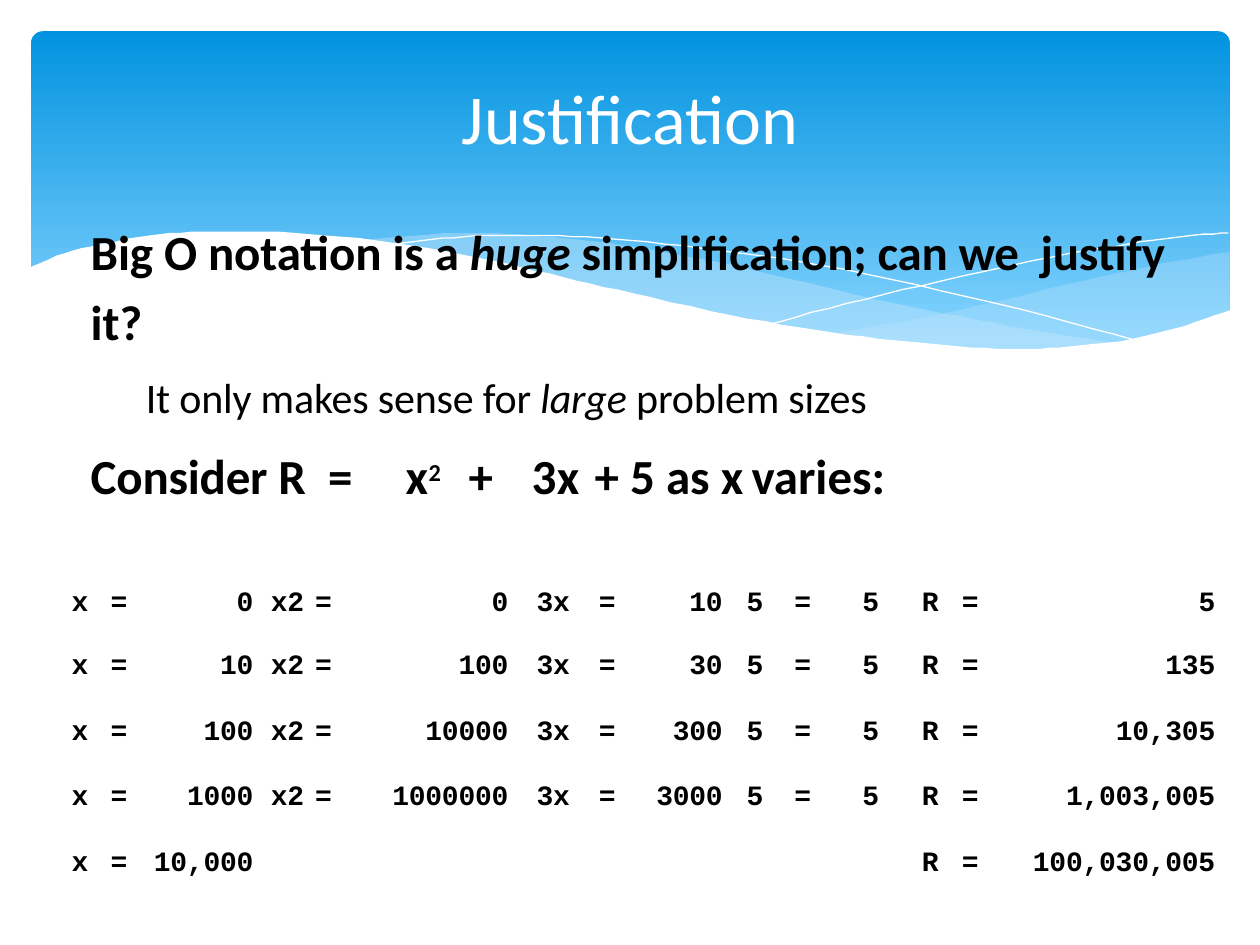
from lxml import etree
from pptx import Presentation
from pptx import util as u
from pptx.dml.color import RGBColor
from pptx.enum import text
from pptx.oxml import ns

BLUE = RGBColor(0x02, 0x93, 0xE0)
SKY = RGBColor(0x83, 0xD3, 0xFE)
PALE = RGBColor(0xC6, 0xE7, 0xFC)
WHITE = RGBColor(255, 255, 255)
BLACK = RGBColor(0, 0, 0)
UNIT = u.Cm(0.0254)
PLAIN = "{2D5ABB26-0587-4C30-8999-92F81FD0307C}"

BACK = [[(953, 16), (912, 23), (883, 29), (838, 39), (756, 58), (706, 69), (638, 81)],
        [(638, 81), (668, 85), (709, 90), (746, 93), (791, 94), (831, 92), (874, 86),
         (912, 78), (953, 63)]]
MID = [[(870, 89), (814, 81), (752, 70), (683, 56), (606, 38), (546, 24), (491, 14),
        (442, 7), (397, 3), (357, 1), (321, 2), (263, 7)],
       [(263, 7), (319, 15), (381, 27), (426, 38), (507, 56), (578, 71), (642, 82),
        (699, 90), (750, 93), (795, 94), (834, 93), (870, 89)]]
FALL = [[(286, 11), (321, 6), (364, 3), (410, 3), (466, 6), (533, 13), (613, 24),
         (704, 42), (808, 67), (884, 88)]]
RISE = [[(590, 73), (649, 57), (725, 39), (813, 20), (872, 10), (915, 4), (952, 1)]]
FRONT = [[(954, 62), (917, 75), (876, 85), (827, 91), (786, 93), (738, 91), (685, 86),
          (625, 78), (556, 66), (480, 49), (424, 36), (368, 23), (317, 13), (248, 4),
          (188, 0), (138, 0), (96, 3), (62, 9), (29, 17), (0, 29)],
         [(0, 145), (954, 145)]]

LINES = [
    (0.03, 1, [], [("Big O notation is a ", 28, "b", -0.05), ("huge ", 28, "bi", -0.1),
                   ("simplification; can we  justify", 28, "b", -0.1),
                   (" it?", 28, "b", 0)]),
    (1.14, 6, [], [("It only makes sense for ", 24, "", -0.1), ("large ", 24, "i", -0.1),
                   ("problem sizes", 24, "", -0.1)]),
    (0.03, 6.9, [5.82, 6.83, 8.13, 9.14, 10.69, 11.71],
     [("Consider ", 28, "b", -0.1), ("R  =\t", 28, "b", 0), ("x", 28, "b", 0.3),
      ("2\t", 24, "bs", 0.5), ("+\t", 28, "b", 0), ("3x\t", 28, "b", 0.3),
      ("+ 5 as ", 28, "b", 0), ("x ", 28, "b", -1.6), ("varies:", 28, "b", 0)]),
]
SUMS = [("0", "0", "10", "5"), ("10", "100", "30", "135"),
        ("100", "10000", "300", "10,305"), ("1000", "1000000", "3000", "1,003,005"),
        ("10,000", None, None, "100,030,005")]
COLS = [0.69, 0.79, 2.54, 1.02, 0.79, 3.33, 1.37, 0.79, 2.16, 0.99, 0.79, 1.37, 1.37,
        0.79, 4.62]
ROWS = [1.19, 1.32, 1.32, 1.32, 1.19]
GAPS = {6: 0.13, 9: 0.17, 12: 0.17, 13: 0.15}


def add_run(para, words, size, style="", gap=0, font="Calibri", color=BLACK):
    """Add one run with its style letters and letter spacing."""
    run = para.add_run()
    run.text = words
    face = run.font
    face.name, face.size, face.color.rgb = font, u.Pt(size), color
    face.bold, face.italic = "b" in style, "i" in style
    props = run._r.get_or_add_rPr()
    props.set("spc", str(round(gap * 100)))
    if "s" in style:
        props.set("baseline", "30000")


def smooth(knots, steps=5):
    """Return points on a smooth curve through the knots."""
    ends = [knots[0], *knots, knots[-1]]
    curve = [knots[0]]
    for a, b, c, d in zip(ends, ends[1:], ends[2:], ends[3:]):
        for step in range(1, steps + 1):
            t = step / steps
            curve.append(tuple(
                (2 * q + (r - p) * t + (2 * p - 5 * q + 4 * r - s) * t ** 2
                 + (3 * q - p - 3 * r + s) * t ** 3) / 2
                for p, q, r, s in zip(a, b, c, d)))
    return curve


def add_wave(slide, left, top, parts, color, alpha=None, close=True):
    """Draw a filled wave or an open hairline."""
    dots = [dot for part in parts for dot in (smooth(part) if len(part) > 2 else part)]
    form = slide.shapes.build_freeform(*dots[0], scale=UNIT)
    form.add_line_segments(dots[1:], close=close)
    wave = form.convert_to_shape(left, top)
    wave.shadow.inherit = False
    if not close:
        wave.fill.background()
        wave.line.color.rgb = color
        wave.line.width = 0
        return
    wave.fill.solid()
    wave.fill.fore_color.rgb = color
    wave.line.fill.background()
    if alpha:
        tint = wave.fill._xPr.find(".//" + ns.qn("a:srgbClr"))
        etree.SubElement(tint, ns.qn("a:alpha")).set("val", str(alpha * 1000))


def add_banner(slide, left, top, width, height):
    """Draw the blue panel and the waves at its foot."""
    panel = slide.shapes.add_shape(5, left, top, width, height)
    panel.adjustments[0] = 0.034
    panel.shadow.inherit = False
    panel.line.fill.background()
    panel.fill.gradient()
    panel.fill.gradient_angle = 270
    for stop, color, place in zip(panel.fill.gradient_stops, (BLUE, SKY), (0, 0.9)):
        stop.color.rgb, stop.position = color, place
    x, y = left - u.Cm(0.05), top + u.Cm(4.04)
    add_wave(slide, x, y, BACK, PALE, 29)
    add_wave(slide, x, y, MID, PALE, 40)
    for line in (FALL, RISE):
        add_wave(slide, x, y, line, WHITE, close=False)
    add_wave(slide, x, y, FRONT, WHITE)


def add_title(slide, left, top, width, height):
    """Place the centred heading."""
    frame = slide.shapes.add_textbox(left, top, width, height).text_frame
    frame.word_wrap = True
    frame.vertical_anchor = text.MSO_ANCHOR.MIDDLE
    para = frame.paragraphs[0]
    para.alignment = text.PP_ALIGN.CENTER
    add_run(para, "Justification", 40, color=WHITE)


def add_body(slide, left, top, width, height):
    """Place the three lines of the argument."""
    frame = slide.shapes.add_textbox(left, top, width, height).text_frame
    frame.word_wrap = True
    frame.margin_left = frame.margin_right = frame.margin_bottom = 0
    frame.margin_top = u.Cm(0.03)
    for index, (indent, before, stops, runs) in enumerate(LINES):
        para = frame.add_paragraph() if index else frame.paragraphs[0]
        para.line_spacing, para.space_before = 1.2, u.Pt(before)
        props = para._p.get_or_add_pPr()
        props.set("marL", str(u.Cm(indent)))
        props.set("indent", "0")
        if stops:
            tabs = etree.SubElement(props, ns.qn("a:tabLst"))
            for stop in stops:
                tab = etree.SubElement(tabs, ns.qn("a:tab"))
                tab.set("pos", str(u.Cm(stop)))
                tab.set("algn", "l")
        for run in runs:
            add_run(para, *run)


def add_sums(slide, left, top):
    """Place the table of values, five label-equals-value groups to a row."""
    frame = slide.shapes.add_table(len(ROWS), len(COLS), left, top,
                                   u.Cm(sum(COLS)), u.Cm(sum(ROWS)))
    table = frame.table
    table.first_row = table.horz_banding = False
    table._tbl.find(".//" + ns.qn("a:tableStyleId")).text = PLAIN
    for column, width in zip(table.columns, COLS):
        column.width = u.Cm(width)
    for row, (line, height) in enumerate(zip(SUMS, ROWS)):
        table.rows[row].height = u.Cm(height)
        x, square, triple, total = line
        groups = [("x", x), ("x2", square), ("3x", triple),
                  ("5", "5" if square else None), ("R", total)]
        words = [word for name, value in groups
                 for word in ((name, "=", value) if value else ("", "", ""))]
        for col, word in enumerate(words):
            cell = table.cell(row, col)
            cell.fill.background()
            cell.margin_left = cell.margin_top = cell.margin_bottom = 0
            cell.margin_right = u.Cm(GAPS.get(col, 0))
            if word:
                para = cell.text_frame.paragraphs[0]
                para.alignment = text.PP_ALIGN.CENTER if col == 4 else text.PP_ALIGN.RIGHT
                para.line_spacing = u.Pt(19 if row else 16.5)
                add_run(para, word, 16, "b", -0.1 if len(word) > 1 else 0, "Courier New")


deck = Presentation()
deck.slide_width, deck.slide_height = u.Cm(25.4), u.Cm(19.05)
page = deck.slides.add_slide(deck.slide_layouts[6])
add_banner(page, u.Cm(0.63), u.Cm(0.63), u.Cm(24.16), u.Cm(6.86))
add_body(page, u.Cm(1.8), u.Cm(4.19), u.Cm(21.97), u.Cm(5.99))
add_sums(page, u.Cm(1.09), u.Cm(11.91))
add_title(page, u.Cm(1.27), u.Cm(0.76), u.Cm(22.86), u.Cm(3.18))
deck.save("out.pptx")
